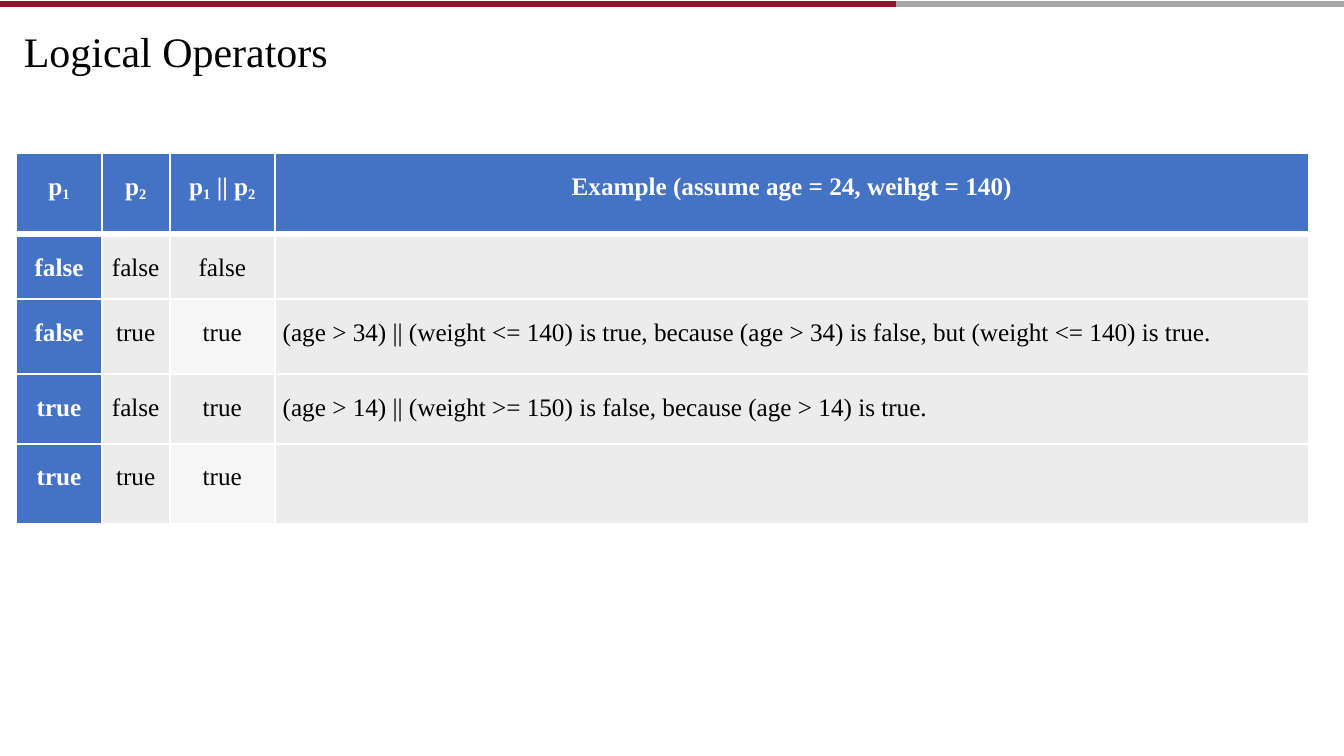
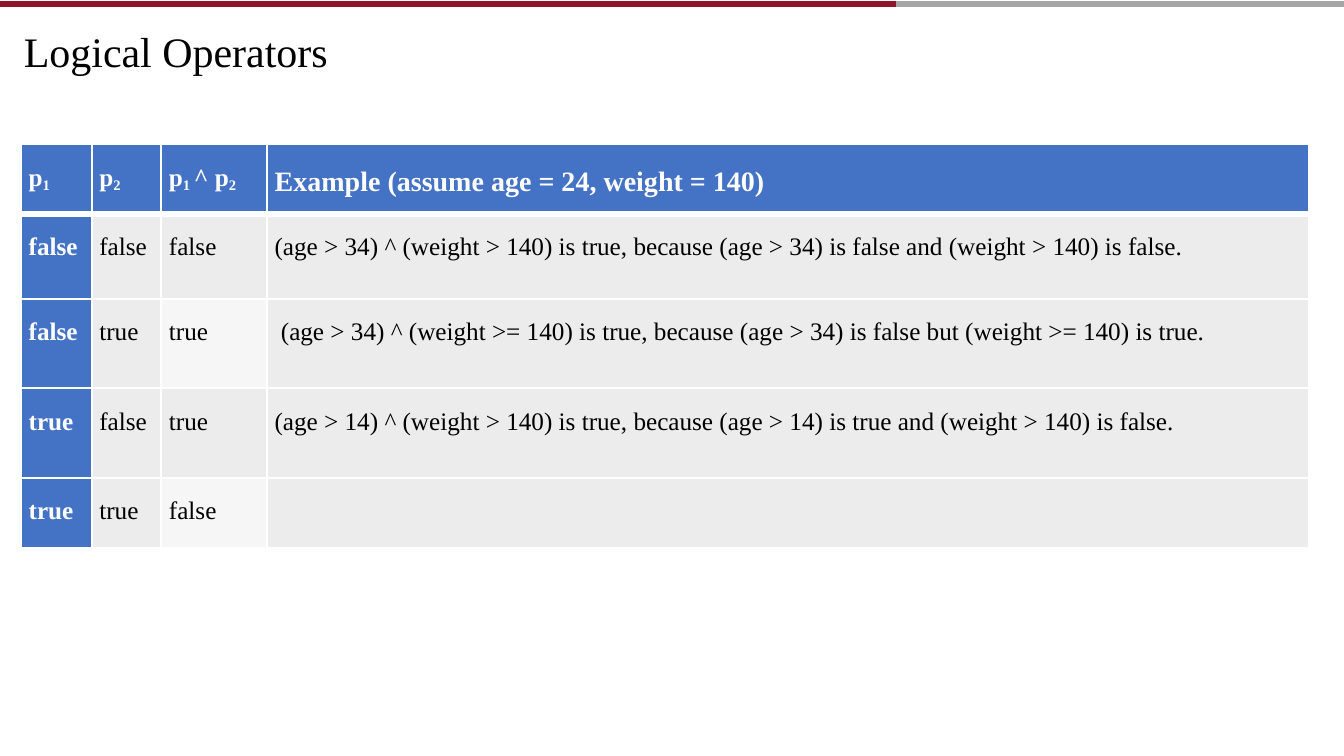
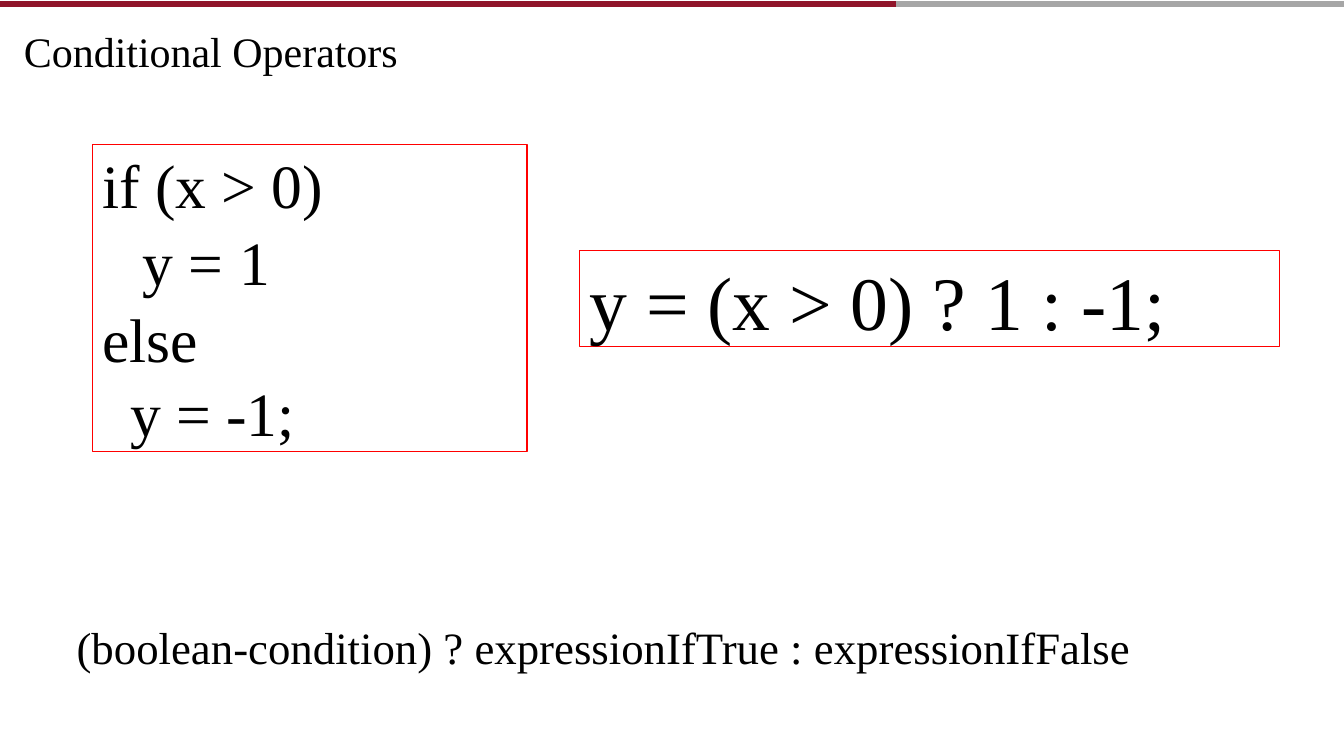
from dataclasses import dataclass

from lxml import etree
from pptx import Presentation
from pptx.dml.color import RGBColor
from pptx.enum import shapes, text
from pptx.oxml.ns import qn
from pptx.util import Pt


@dataclass(frozen=True)
class Theme:
    font: str = "Times New Roman"
    ink: str = "000000"
    white: str = "FFFFFF"
    crimson: str = "90152A"
    gray: str = "A6A6A6"
    blue: str = "4472C4"
    cell: str = "ECECEC"
    cell_light: str = "F6F6F6"
    red: str = "FF0000"
    title_size: int = 30
    table_size: int = 18
    formula_size: int = 32
    grid_width: float = 1.5
    header_rule: float = 4.5


THEME = Theme()
WIDTH, HEIGHT = 960, 540
LEFT, CENTER = text.PP_ALIGN.LEFT, text.PP_ALIGN.CENTER

# Content: text between tildes is a subscript
TRUTH_TABLES = [
    {
        "title": "Logical Operators",
        "at": (11.7, 109.7),
        "columns": [61, 48.5, 75.3, 738.3],
        "rows": [57.5, 46.5, 53.7, 49.7, 57.3],
        "header_align": [CENTER] * 4,
        "body_align": [CENTER, CENTER, CENTER, LEFT],
        "example_size": 18,
        "indents": {},
        "cells": [
            ["p~1~", "p~2~", "p~1~ || p~2~", "Example (assume age = 24, weihgt = 140)"],
            ["false", "false", "false", ""],
            ["false", "true", "true",
             "(age > 34) || (weight <= 140) is true, because (age > 34) is false, but (weight <= 140) is true."],
            ["true", "false", "true",
             "(age > 14) || (weight >= 150) is false, because (age > 14) is true."],
            ["true", "true", "true", ""],
        ],
    },
    {
        "title": "Logical Operators",
        "at": (15, 103.2),
        "columns": [50.5, 49.7, 75.5, 744.1],
        "rows": [49.5, 60.7, 64, 64, 49.7],
        "header_align": [LEFT] * 4,
        "body_align": [LEFT] * 4,
        "example_size": 20,
        "indents": {(2, 3): 10},
        "cells": [
            ["p~1~", "p~2~", "p~1 ~^ p~2~", "Example (assume age = 24, weight = 140)"],
            ["false", "false", "false",
             "(age > 34) ^ (weight > 140) is true, because (age > 34) is false and (weight > 140) is false."],
            ["false", "true", "true",
             "(age > 34) ^ (weight >= 140) is true, because (age > 34) is false but (weight >= 140) is true."],
            ["true", "false", "true",
             "(age > 14) ^ (weight > 140) is true, because (age > 14) is true and (weight > 140) is false."],
            ["true", "true", "false", ""],
        ],
    },
]

CONDITIONAL_TITLE = "Conditional Operators"
FORMULA = "(boolean-condition) ? expressionIfTrue : expressionIfFalse"
CODE_BOXES = [
    # place, type size, top margin, lines as (text, indent, space before)
    {"at": (66, 103.2, 310.5, 219.5), "size": 44, "top": 2,
     "lines": [("if (x > 0)", 7, 0), ("   y = 1", 3, 2), ("else", 7, 2), (" y = -1;", 16, 0)]},
    {"at": (414, 179, 500, 68.5), "size": 54, "top": 3,
     "lines": [("y = (x > 0) ? 1 : -1;", 7, 0)]},
]


# Text helpers
def color(value):
    return RGBColor.from_string(value)


def add_run(paragraph, words, size, ink=THEME.ink, bold=False):
    run = paragraph.add_run()
    run.text = words
    run.font.name = THEME.font
    run.font.size = Pt(size)
    run.font.bold = bold
    run.font.color.rgb = color(ink)
    return run


def set_margins(target, left=0, top=0):
    target.margin_left, target.margin_top = Pt(left), Pt(top)
    target.margin_right = target.margin_bottom = 0


def add_line_of_text(slide, words, place, size):
    frame = slide.shapes.add_textbox(*map(Pt, place)).text_frame
    set_margins(frame, top=1)
    add_run(frame.paragraphs[0], words, size)


# Shared slide frame: two-tone band and title
def add_slide(presentation, title):
    slide = presentation.slides.add_slide(presentation.slide_layouts[6])
    split = WIDTH * 2 / 3
    for start, end, band_color in ((split, WIDTH, THEME.gray), (0, split, THEME.crimson)):
        band = slide.shapes.add_connector(
            shapes.MSO_CONNECTOR.STRAIGHT, Pt(start), Pt(2.8), Pt(end), Pt(2.8))
        band.line.color.rgb = color(band_color)
        band.line.width = Pt(4)
        etree.SubElement(band._element.spPr, qn("a:effectLst"))
    add_line_of_text(slide, title, (17, 17.3, 270, 38), THEME.title_size)
    return slide


# Truth tables
def set_borders(cell, row):
    properties = cell._tc.get_or_add_tcPr()
    heavy = {0: "lnB", 1: "lnT"}.get(row)
    for index, side in enumerate(("lnL", "lnR", "lnT", "lnB")):
        width = THEME.header_rule if side == heavy else THEME.grid_width
        line = etree.Element(qn("a:" + side), w=str(int(Pt(width))))
        fill = etree.SubElement(line, qn("a:solidFill"))
        etree.SubElement(fill, qn("a:srgbClr"), val=THEME.white)
        properties.insert(index, line)


def cell_fill(row, column):
    if row == 0 or column == 0:
        return THEME.blue
    return THEME.cell_light if column == 2 and row % 2 == 0 else THEME.cell


def fill_cell(cell, row, column, content):
    header = row == 0 or column == 0
    size = content["example_size"] if (row, column) == (0, 3) else THEME.table_size
    align = content["header_align" if row == 0 else "body_align"][column]
    indent = 0 if align == CENTER else content["indents"].get((row, column), 5.5)
    set_margins(cell, indent, round(size * 0.79))
    cell.fill.solid()
    cell.fill.fore_color.rgb = color(cell_fill(row, column))
    set_borders(cell, row)
    paragraph = cell.text_frame.paragraphs[0]
    paragraph.alignment = align
    for index, words in enumerate(content["cells"][row][column].split("~")):
        if words:
            run = add_run(paragraph, words, size, THEME.white if header else THEME.ink, header)
            if index % 2:
                run._r.get_or_add_rPr().set("baseline", "-14000")


def add_truth_table(slide, content):
    columns, rows = content["columns"], content["rows"]
    table = slide.shapes.add_table(
        len(rows), len(columns), *map(Pt, (*content["at"], sum(columns), sum(rows)))).table
    for column, width in enumerate(columns):
        table.columns[column].width = Pt(width)
    for row, height in enumerate(rows):
        table.rows[row].height = Pt(height)
        for column in range(len(columns)):
            fill_cell(table.cell(row, column), row, column, content)


# Outlined code
def add_code_box(slide, content):
    box = slide.shapes.add_shape(shapes.MSO_SHAPE.RECTANGLE, *map(Pt, content["at"]))
    box.shadow.inherit = False
    box.fill.background()
    box.line.color.rgb = color(THEME.red)
    box.line.width = Pt(0.75)
    frame = box.text_frame
    frame.word_wrap = True
    frame.vertical_anchor = text.MSO_ANCHOR.TOP
    set_margins(frame, top=content["top"])
    for index, (words, indent, space_before) in enumerate(content["lines"]):
        paragraph = frame.add_paragraph() if index else frame.paragraphs[0]
        paragraph.alignment = LEFT
        paragraph.space_before = Pt(space_before)
        properties = paragraph._p.get_or_add_pPr()
        properties.set("marL", str(int(Pt(indent))))
        properties.set("indent", "0")
        add_run(paragraph, words, content["size"])


def main():
    presentation = Presentation()
    presentation.slide_width, presentation.slide_height = Pt(WIDTH), Pt(HEIGHT)
    for content in TRUTH_TABLES:
        add_truth_table(add_slide(presentation, content["title"]), content)
    slide = add_slide(presentation, CONDITIONAL_TITLE)
    add_line_of_text(slide, FORMULA, (54.7, 441.7, 836, 40), THEME.formula_size)
    for content in CODE_BOXES:
        add_code_box(slide, content)
    presentation.save("out.pptx")


if __name__ == "__main__":
    main()
